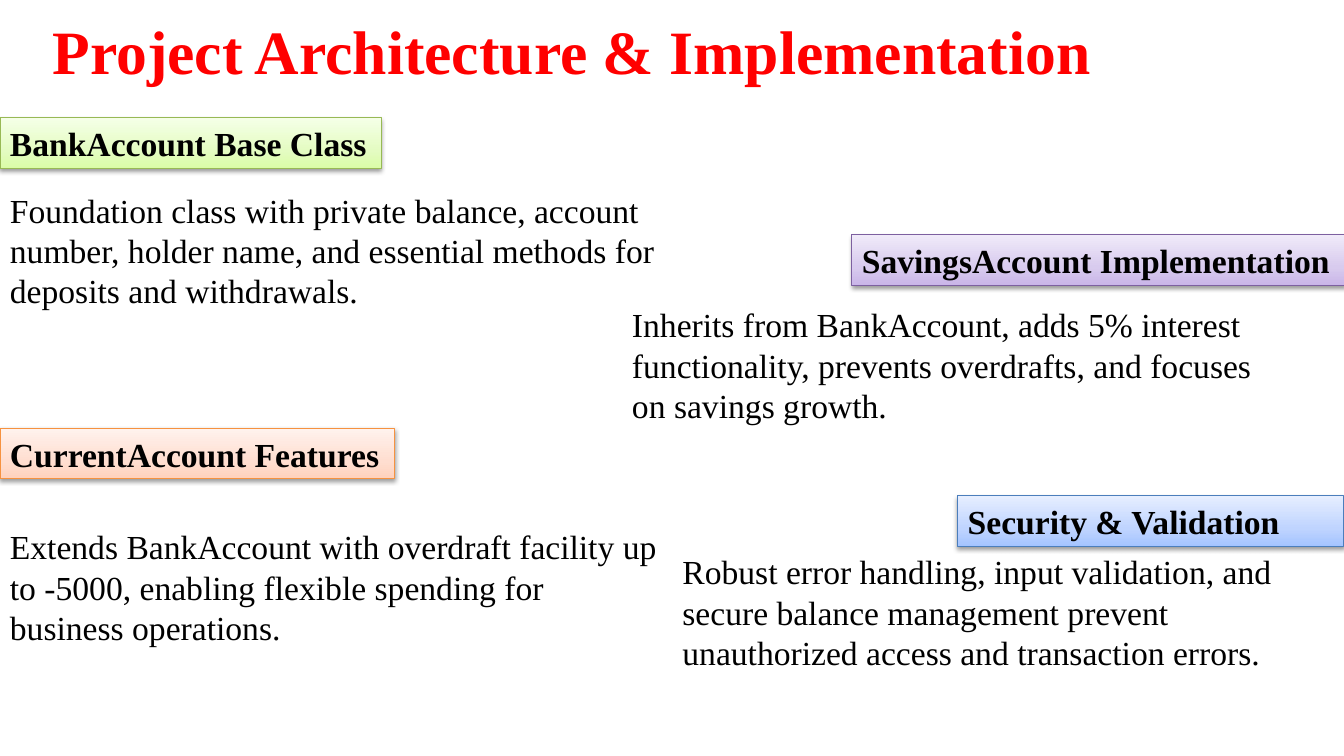
from copy import deepcopy

from lxml.etree import SubElement
from pptx import Presentation
from pptx.dml.color import RGBColor
from pptx.enum.shapes import MSO_SHAPE
from pptx.enum.text import MSO_ANCHOR, MSO_AUTO_SIZE, PP_ALIGN
from pptx.oxml.ns import qn
from pptx.util import Inches, Pt

COLORS = {"title": "FF0000", "text": "000000", "shadow": "000000"}
SCHEMES = {
    "green": {"stops": ("DAFDA7", "E4FCC2", "F5FFE7"), "line": "98B955"},
    "purple": {"stops": ("C9B5E8", "D8CBEE", "F0EAF9"), "line": "7D60A0"},
    "orange": {"stops": ("FFD2BD", "FFDED0", "FFF2ED"), "line": "F69240"},
    "blue": {"stops": ("A4C4FF", "BFD4FF", "E6EEFF"), "line": "4B7EBC"},
}
STOP_POSITIONS = (0, 0.35, 1)
LABEL_HEIGHT = 0.5
BODY_HEIGHT = 1.31

SECTIONS = [
    ("BankAccount Base Class", "green", (0, 1.17, 3.78),
     "Foundation class with private balance, account number, holder name, "
     "and essential methods for deposits and withdrawals.", (0, 1.83, 7.5)),
    ("SavingsAccount Implementation", "purple", (8.45, 2.33, 4.89),
     "Inherits from BankAccount, adds 5% interest functionality, prevents "
     "overdrafts, and focuses on savings growth.", (6.17, 2.97, 6.67)),
    ("CurrentAccount Features", "orange", (0, 4.25, 3.91),
     "Extends BankAccount with overdraft facility up to -5000, enabling "
     "flexible spending for business operations.", (0, 5.17, 6.67)),
    ("Security & Validation", "blue", (9.5, 4.92, 3.83),
     "Robust error handling, input validation, and secure balance management "
     "prevent unauthorized access and transaction errors.", (6.67, 5.42, 6.67)),
]


def write_text(sp, text, size=24, bold=False, color="text", anchor=MSO_ANCHOR.TOP):
    tf = sp.text_frame
    tf.word_wrap = True
    tf.auto_size = MSO_AUTO_SIZE.NONE
    tf.vertical_anchor = anchor
    p = tf.paragraphs[0]
    p.alignment = PP_ALIGN.LEFT
    r = p.add_run()
    r.text = text
    r.font.name = "Times New Roman"
    r.font.size = Pt(size)
    r.font.bold = bold
    r.font.color.rgb = RGBColor.from_string(COLORS[color])


def apply_gradient(sp, stops):
    sp.fill.gradient()
    sp.fill.gradient_angle = 90
    stop_list = sp._element.spPr.find(qn("a:gradFill")).find(qn("a:gsLst"))
    stop_list.insert(1, deepcopy(stop_list[0]))
    for stop, color, position in zip(sp.fill.gradient_stops, stops, STOP_POSITIONS):
        stop.color.rgb = RGBColor.from_string(color)
        stop.position = position


def apply_shadow(sp):
    sp.shadow.inherit = False
    effects = sp._element.spPr.find(qn("a:effectLst"))
    shadow = SubElement(effects, qn("a:outerShdw"), blurRad="40000",
                        dist="20000", dir="5400000", rotWithShape="0")
    color = SubElement(shadow, qn("a:srgbClr"), val=COLORS["shadow"])
    SubElement(color, qn("a:alpha"), val="38000")


def add_title(s, text, left, top, width, height):
    sp = s.shapes.title
    sp.left, sp.top = Inches(left), Inches(top)
    sp.width, sp.height = Inches(width), Inches(height)
    write_text(sp, text, size=44, bold=True, color="title")


def add_label(s, text, scheme, left, top, width):
    sp = s.shapes.add_shape(MSO_SHAPE.RECTANGLE, Inches(left), Inches(top),
                            Inches(width), Inches(LABEL_HEIGHT))
    apply_gradient(sp, scheme["stops"])
    sp.line.color.rgb = RGBColor.from_string(scheme["line"])
    sp.line.width = Pt(0.75)
    apply_shadow(sp)
    write_text(sp, text, bold=True, anchor=MSO_ANCHOR.MIDDLE)


def add_body(s, text, left, top, width):
    sp = s.shapes.add_textbox(Inches(left), Inches(top),
                              Inches(width), Inches(BODY_HEIGHT))
    write_text(sp, text)


def main():
    prs = Presentation()
    prs.slide_width, prs.slide_height = Inches(13.33), Inches(7.5)
    s = prs.slides.add_slide(prs.slide_layouts[5])
    add_title(s, "Project Architecture & Implementation", 0.42, 0.08, 10.67, 0.84)
    for label, scheme, label_box, body, body_box in SECTIONS:
        add_body(s, body, *body_box)
        add_label(s, label, SCHEMES[scheme], *label_box)
    prs.save("out.pptx")


if __name__ == "__main__":
    main()
